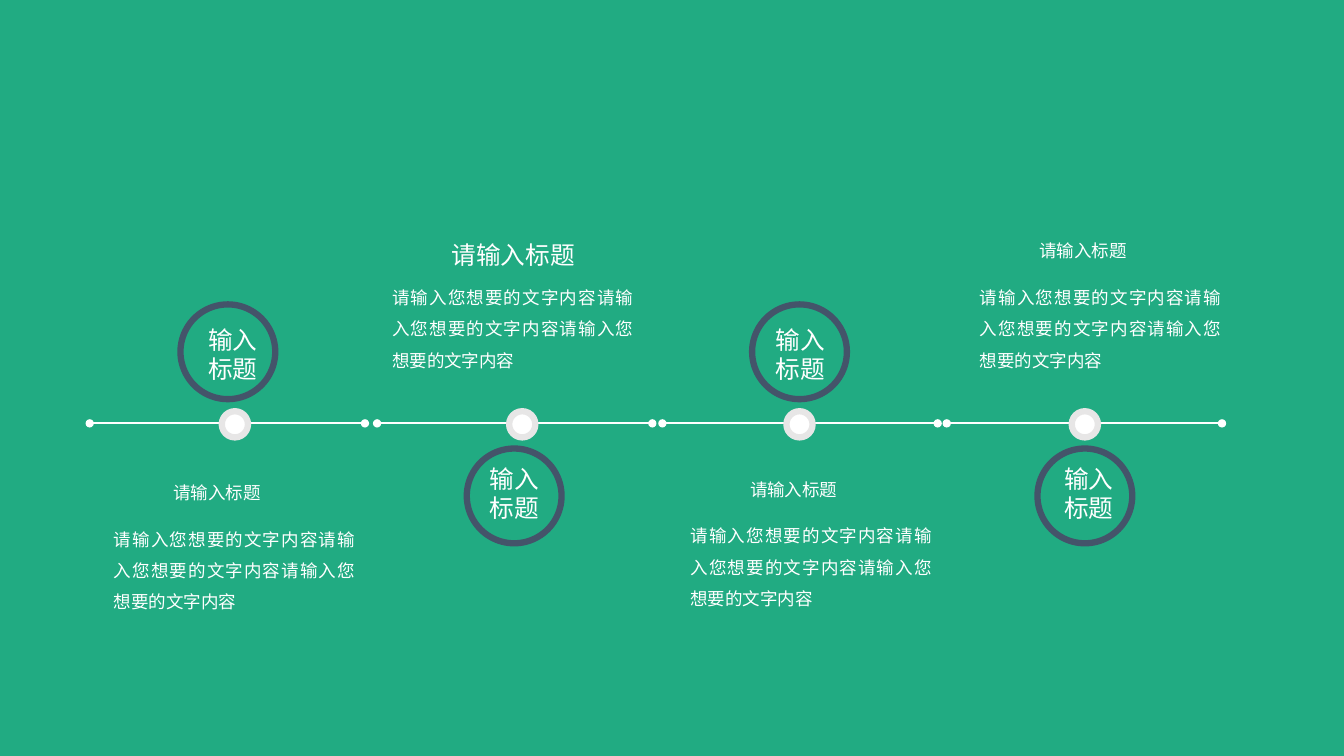
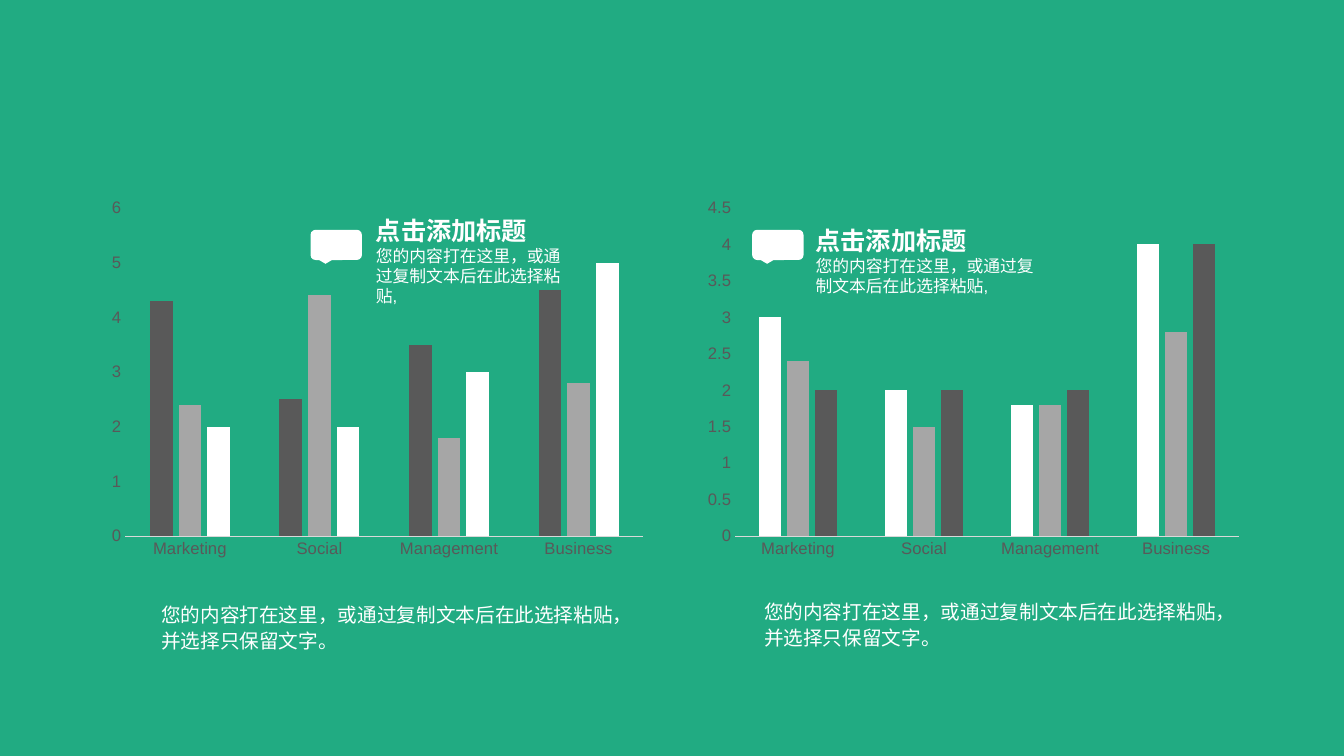
import pptx
import pptx.chart.data
import pptx.dml.color
import pptx.enum.chart
import pptx.enum.shapes
import pptx.enum.text
import pptx.oxml.ns
import pptx.util
from lxml import etree

Inches, Pt = pptx.util.Inches, pptx.util.Pt
SHAPE = pptx.enum.shapes.MSO_SHAPE
ALIGN = pptx.enum.text.PP_ALIGN
qn = pptx.oxml.ns.qn

GREEN, WHITE, PALE, SLATE = "21AB82", "FFFFFF", "E7E6E6", "44546A"
DARK, GREY, AXIS = "595959", "A6A6A6", "D9D9D9"
CJK = "Noto Sans CJK SC"


def paint(target, color):
    """Give a fill format or a line's fill a solid colour."""
    target.solid()
    target.fore_color.rgb = pptx.dml.color.RGBColor.from_string(color)


def add_text(s, box, lines, align=None, spacing=None, after=None, inset=True):
    """Add a white text box; each line is (text, size, font, bold)."""
    tf = s.shapes.add_textbox(*map(Inches, box)).text_frame
    tf.word_wrap = True
    tf.auto_size = pptx.enum.text.MSO_AUTO_SIZE.SHAPE_TO_FIT_TEXT
    if not inset:
        tf.margin_left = tf.margin_top = tf.margin_right = tf.margin_bottom = 0
    for i, (text, size, font, bold) in enumerate(lines):
        p = tf.paragraphs[0] if i == 0 else tf.add_paragraph()
        p.alignment = align
        p.line_spacing = spacing
        p.space_after = after
        r = p.add_run()
        r.text = text
        r.font.size = Pt(size)
        r.font.bold = bold
        r.font.name = font
        paint(r.font.fill, WHITE)
        etree.SubElement(r.font._element, qn("a:ea"), typeface=CJK)


prs = pptx.Presentation()
prs.slide_width, prs.slide_height = Inches(13.33), Inches(7.5)
paint(prs.slide_master.background.fill, GREEN)
blank = prs.slide_layouts[6]

# Timeline: four stages, rings alternating above and below the line
s = prs.slides.add_slide(blank)
body = "请输入您想要的文字内容" * 3
stages = [
    # line, dot, ring, label, heading left, heading top, heading size, ring above
    (0.89, 2.2, 1.79, 1.9, 1.62, 4.73, 12.5, True),
    (3.74, 5.05, 4.63, 4.69, 4.38, 2.33, 17.6, False),
    (6.57, 7.8, 7.46, 7.53, 7.34, 4.7, 12.5, True),
    (9.39, 10.63, 10.29, 10.39, 10.21, 2.33, 12.5, False),
]
for line_x, dot_x, ring_x, label_x, head_x, head_y, head_size, above in stages:
    line = s.shapes.add_connector(
        pptx.enum.shapes.MSO_CONNECTOR.STRAIGHT,
        Inches(line_x + 2.73), Inches(4.2), Inches(line_x), Inches(4.2))
    paint(line.line.fill, WHITE)
    line.line.width = Pt(1.5)
    ln = line.line._get_or_add_ln()
    for end in ("a:headEnd", "a:tailEnd"):
        etree.SubElement(ln, qn(end), type="oval")
    etree.SubElement(line._element.spPr, qn("a:effectLst"))

    ring_y, label_y = (3.02, 3.22) if above else (4.45, 4.6)
    for x, y, size, color in ((dot_x, 4.08, 0.26, PALE), (ring_x, ring_y, 0.94, SLATE)):
        sp = s.shapes.add_shape(SHAPE.OVAL, *map(Inches, (x, y, size, size)))
        sp.shadow.inherit = False
        sp.line.width = Pt(4.5)
        paint(sp.line.fill, color)
        if color == PALE:
            paint(sp.fill, WHITE)
        else:
            sp.fill.background()

    add_text(s, (label_x, label_y, 0.82, 0.59),
             [("输入", 17.6, CJK, None), ("标题", 17.6, CJK, None)],
             align=ALIGN.CENTER, inset=False)
    add_text(s, (head_x, head_y, 1.69, 0.31), [("请输入标题", head_size, CJK, None)])
    add_text(s, (head_x - 0.59, head_y + 0.36, 2.59, 1.05),
             [(body, 12.5, "Calibri", None)], align=ALIGN.JUSTIFY, spacing=1.5)

# Two column charts, each with a callout and a caption
s = prs.slides.add_slide(blank)
panels = [
    # chart left, series values, series colours, axis top, axis step,
    # callout left, callout text box, caption left and top
    (1, [(4.3, 2.5, 3.5, 4.5), (2.4, 4.4, 1.8, 2.8), (2, 2, 3, 5)],
     (DARK, GREY, WHITE), 6, 1, 3.08, (3.63, 2.09, 2.03, 1.01), (1.5, 5.92)),
    (6.91, [(3, 2, 1.8, 4), (2.4, 1.5, 1.8, 2.8), (2, 2, 2, 4)],
     (WHITE, GREY, DARK), 4.5, 0.5, 7.46, (7.99, 2.19, 2.52, 0.81), (7.48, 5.89)),
]
for chart_x, series, colors, top, step, callout_x, note_box, caption_at in panels:
    data = pptx.chart.data.CategoryChartData()
    data.categories = ["Marketing", "Social", "Management", "Business"]
    for i, values in enumerate(series, 1):
        data.add_series(f"Series {i}", values)
    chart = s.shapes.add_chart(
        pptx.enum.chart.XL_CHART_TYPE.COLUMN_CLUSTERED,
        *map(Inches, (chart_x, 1.9, 5.49, 3.71)), data).chart
    chart.has_title = chart.has_legend = False
    chart.font.name = "Arial"
    chart.font.size = Pt(10)
    plot = chart.plots[0]
    plot.gap_width, plot.overlap, plot.vary_by_categories = 219, -27, False
    for ser, color in zip(plot.series, colors):
        paint(ser.format.fill, color)
    for axis in (chart.category_axis, chart.value_axis):
        axis.has_major_gridlines = False
        axis.major_tick_mark = pptx.enum.chart.XL_TICK_MARK.NONE
        font = axis.tick_labels.font
        font.name = "Arial"
        font.size = Pt(11.9)
        paint(font.fill, DARK)
    paint(chart.category_axis.format.line.fill, AXIS)
    chart.category_axis.format.line.width = Pt(0.75)
    axis = chart.value_axis
    axis.format.line.fill.background()
    axis.minimum_scale, axis.maximum_scale, axis.major_unit = 0, top, step

    sp = s.shapes.add_shape(SHAPE.ROUNDED_RECTANGULAR_CALLOUT,
                            *map(Inches, (callout_x, 2.28, 0.51, 0.3)))
    sp.shadow.inherit = False
    paint(sp.fill, WHITE)
    sp.line.fill.background()
    add_text(s, note_box,
             [("点击添加标题", 18, "Arial", True),
              ("您的内容打在这里，或通过复制文本后在此选择粘贴,", 12, "Arial", False)])
    add_text(s, (*caption_at, 4.81, 0.61),
             [("您的内容打在这里，或通过复制文本后在此选择粘贴，并选择只保留文字。",
               14, "Arial", None)], spacing=1.07, after=Pt(8))

prs.save("out.pptx")
